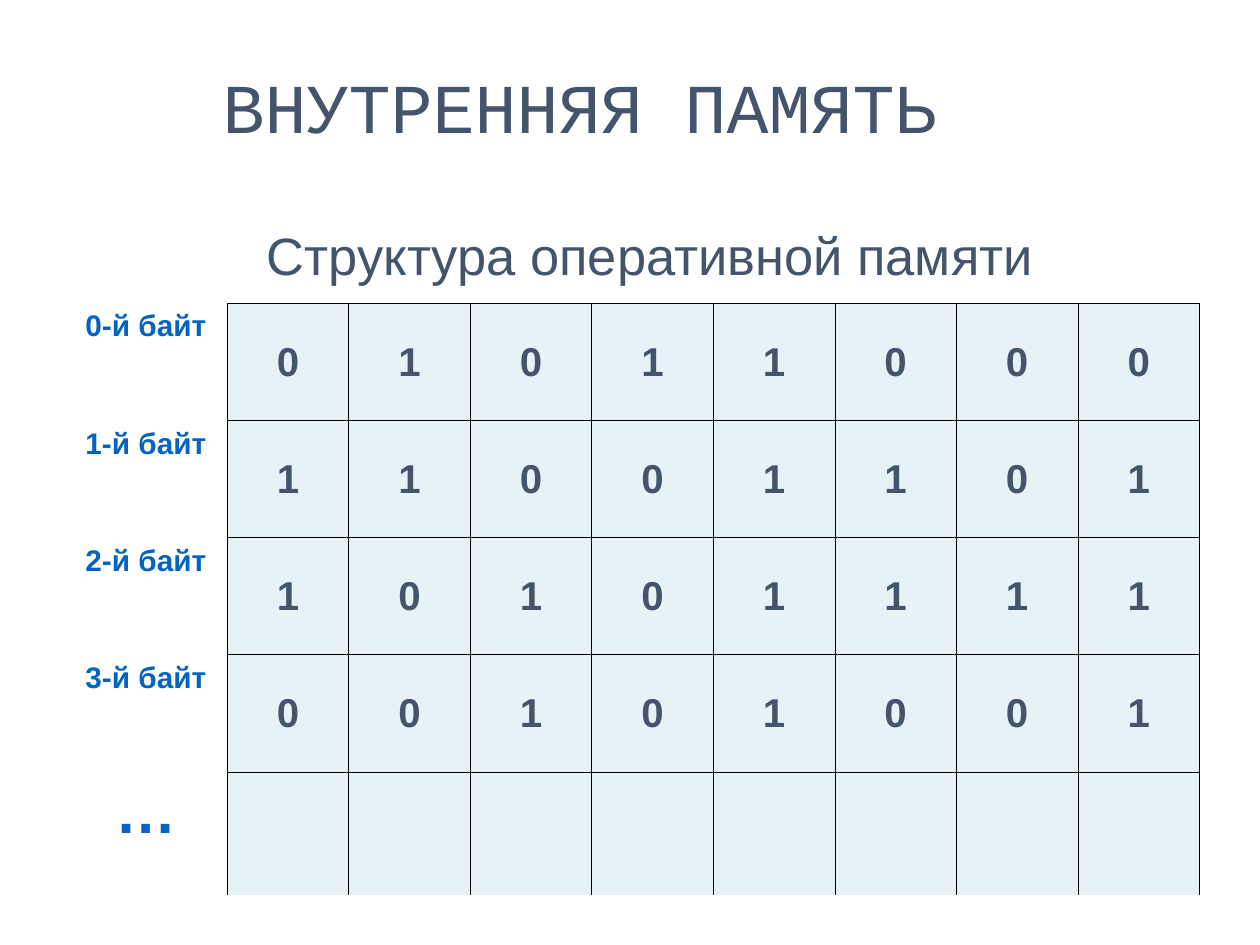
from dataclasses import dataclass

from lxml import etree
from pptx import Presentation
from pptx.dml.color import RGBColor
from pptx.enum.text import MSO_ANCHOR, PP_ALIGN
from pptx.oxml.ns import qn
from pptx.util import Cm, Pt

TOP, MIDDLE, BOTTOM = MSO_ANCHOR.TOP, MSO_ANCHOR.MIDDLE, MSO_ANCHOR.BOTTOM
LEFT, CENTER = PP_ALIGN.LEFT, PP_ALIGN.CENTER

SLATE, BLUE, PALE, BLACK = "44546A", "0563C1", "E6F2F6", "000000"
LABEL_W, BIT_W = 3.28, 2.45
ROW_H, LAST_ROW_H = 2.36, 2.49
BORDER_PT = 0.45


@dataclass
class Style:
    size: float
    color: str
    font: str = "Arial"
    bold: bool = False
    align: PP_ALIGN = LEFT


@dataclass
class Heading:
    text: str
    left: float
    top: float
    width: float
    height: float
    anchor: MSO_ANCHOR
    style: Style


@dataclass
class MemoryRow:
    label: str
    bits: str
    label_size: float = 17


HEADINGS = [
    Heading("Структура оперативной памяти", 5.13, 4.72, 16.15, 1.17, BOTTOM, Style(30, SLATE)),
    Heading("ВНУТРЕННЯЯ ПАМЯТЬ", 4.24, 0.53, 18.26, 3.2, MIDDLE, Style(40, SLATE, "Courier New")),
]
ROWS = [
    MemoryRow("0-й байт", "01011000"),
    MemoryRow("1-й байт", "11001101"),
    MemoryRow("2-й байт", "10101111"),
    MemoryRow("3-й байт", "00101001"),
    MemoryRow("…", "", 35),
]
BIT_STYLE = Style(23, SLATE, bold=True, align=CENTER)


def rgb(value: str) -> RGBColor:
    return RGBColor.from_string(value)


def write(tf, text: str, style: Style) -> None:
    p = tf.paragraphs[0]
    p.alignment = style.align
    r = p.add_run()
    r.text = text
    for name, value in {"name": style.font, "size": Pt(style.size), "bold": style.bold}.items():
        setattr(r.font, name, value)
    r.font.color.rgb = rgb(style.color)


def add_heading(slide, h: Heading) -> None:
    box = slide.shapes.add_textbox(Cm(h.left), Cm(h.top), Cm(h.width), Cm(h.height))
    tf = box.text_frame
    tf.word_wrap = True
    tf.vertical_anchor = h.anchor
    write(tf, h.text, h.style)


def set_borders(cell, sides: str) -> None:
    """Draw the sides named by letters among L, R, T, B and clear the others."""
    tc_pr = cell._tc.get_or_add_tcPr()
    for side in "LRTB":
        ln = etree.SubElement(tc_pr, qn(f"a:ln{side}"), w=str(Pt(BORDER_PT)))
        if side in sides:
            fill = etree.SubElement(ln, qn("a:solidFill"))
            etree.SubElement(fill, qn("a:srgbClr"), val=BLACK)
        else:
            etree.SubElement(ln, qn("a:noFill"))


def add_memory_table(slide, rows: list[MemoryRow], left: float, top: float) -> None:
    bit_count = len(rows[0].bits)
    last = len(rows) - 1
    width, height = LABEL_W + bit_count * BIT_W, last * ROW_H + LAST_ROW_H
    table = slide.shapes.add_table(
        len(rows), bit_count + 1, Cm(left), Cm(top), Cm(width), Cm(height)
    ).table
    table.first_row = table.horz_banding = False
    for i, column in enumerate(table.columns):
        column.width = Cm(BIT_W if i else LABEL_W)

    for i, row in enumerate(rows):
        table.rows[i].height = Cm(LAST_ROW_H if i == last else ROW_H)
        label = table.cell(i, 0)
        set_borders(label, "R")
        label.fill.background()
        label.vertical_anchor = TOP
        write(label.text_frame, row.label, Style(row.label_size, BLUE, bold=True, align=CENTER))
        for j in range(bit_count):
            cell = table.cell(i, j + 1)
            set_borders(cell, "LRT" if i == last else "LRTB")
            cell.fill.solid()
            cell.fill.fore_color.rgb = rgb(PALE)
            cell.vertical_anchor = MIDDLE
            if row.bits:
                write(cell.text_frame, row.bits[j], BIT_STYLE)


def main() -> None:
    prs = Presentation()
    prs.slide_width, prs.slide_height = Cm(25.4), Cm(19.05)
    s = prs.slides.add_slide(prs.slide_layouts[6])
    for heading in HEADINGS:
        add_heading(s, heading)
    add_memory_table(s, ROWS, 1.3, 6.12)
    prs.save("out.pptx")


if __name__ == "__main__":
    main()
